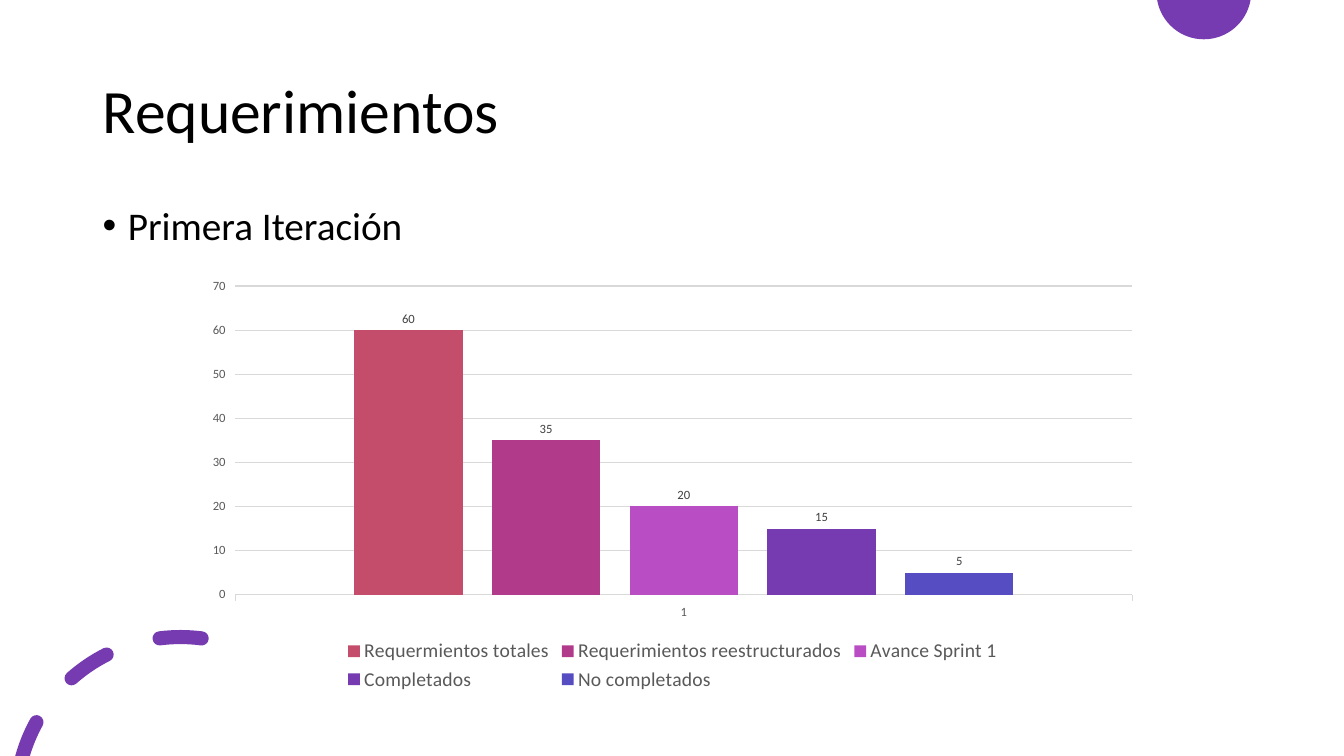
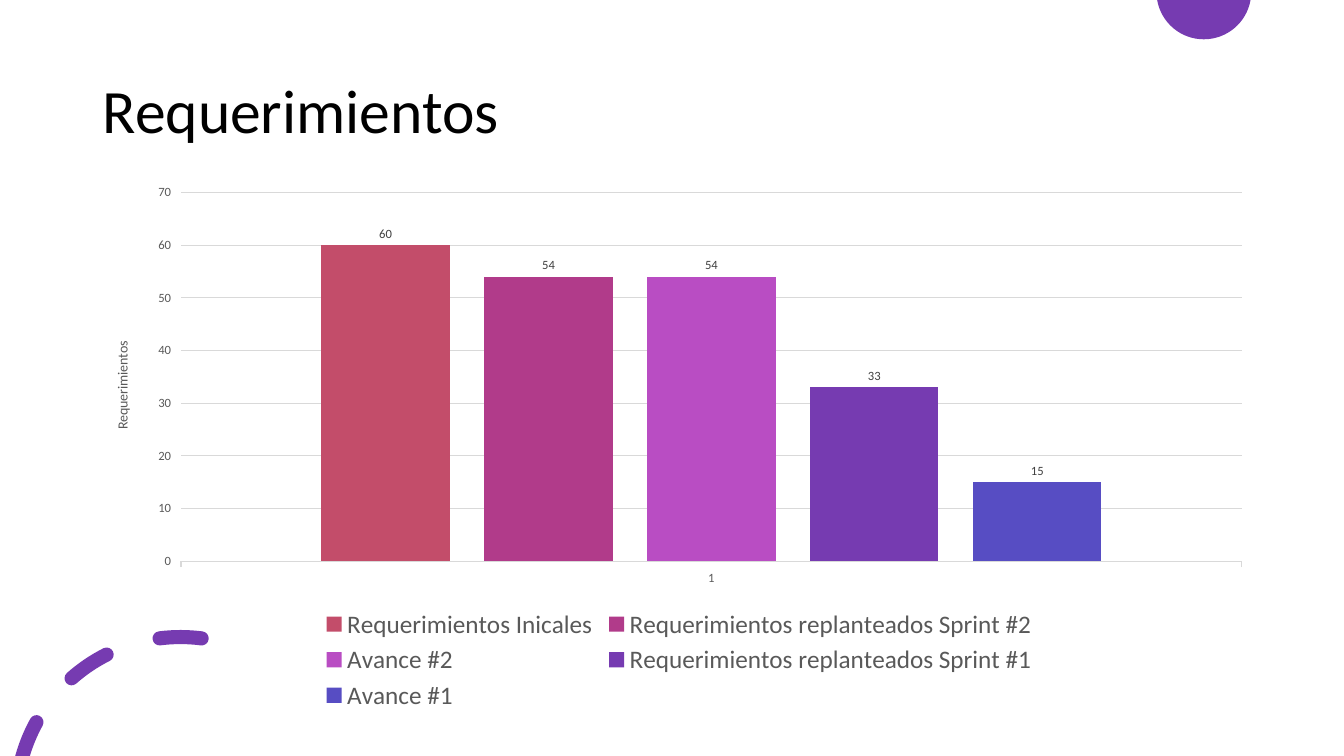
from dataclasses import dataclass
from math import cos, radians, sin, tan

from lxml.etree import SubElement
from pptx import Presentation
from pptx.chart.axis import CategoryAxis, ValueAxis
from pptx.chart.data import CategoryChartData
from pptx.dml.color import RGBColor
from pptx.enum.chart import (
    XL_CHART_TYPE, XL_LABEL_POSITION, XL_LEGEND_POSITION, XL_TICK_MARK)
from pptx.enum.text import MSO_ANCHOR
from pptx.oxml.ns import qn
from pptx.slide import Slide
from pptx.text.text import Font, _Paragraph as Para
from pptx.util import Inches, Pt

FONT = "Calibri"
BLACK = RGBColor(0x00, 0x00, 0x00)
GREY = RGBColor(0x59, 0x59, 0x59)
DARK = RGBColor(0x40, 0x40, 0x40)
PALE = RGBColor(0xD9, 0xD9, 0xD9)
ROSE = RGBColor(0xC3, 0x4D, 0x6A)
PLUM = RGBColor(0xB1, 0x3B, 0x8A)
ORCHID = RGBColor(0xB9, 0x4D, 0xC3)
PURPLE = RGBColor(0x76, 0x3B, 0xB1)
INDIGO = RGBColor(0x57, 0x4D, 0xC3)
BARS = (ROSE, PLUM, ORCHID, PURPLE, INDIGO)

Point = tuple[float, float]

RING: Point = (1.79, 7.95)
RADIUS, HALF = 1.63, 0.07
DISC: Point = (11.94, -0.08)


@dataclass(frozen=True)
class Box:
    left: float
    top: float
    width: float
    height: float

    def lengths(self) -> tuple[Inches, Inches, Inches, Inches]:
        return (Inches(self.left), Inches(self.top),
                Inches(self.width), Inches(self.height))


@dataclass(frozen=True)
class Graph:
    box: Box
    data: dict[str, int]
    key_size: int
    label: str = ""


TITLE = Box(0.92, 0.4, 11.5, 1.45)
BODY = Box(0.92, 2, 11.5, 4.22)

FIRST = Graph(
    Box(1.92, 2.68, 9.5, 4.22),
    {"Requermientos totales": 60, "Requerimientos reestructurados": 35,
     "Avance Sprint 1": 20, "Completados": 15, "No completados": 5},
    14)
SECOND = Graph(
    Box(0.92, 1.73, 11.63, 5.37),
    {"Requerimientos Inicales": 60,
     "Requerimientos replanteados Sprint #2": 54, "Avance #2": 54,
     "Requerimientos replanteados Sprint #1": 33, "Avance #1": 15},
    18, "Requerimientos")


def style(font: Font, size: float, color: RGBColor) -> None:
    font.name, font.size, font.bold = FONT, Pt(size), False
    font.color.rgb = color


def spot(mid: Point, radius: float, angle: float) -> Point:
    """Point on a circle; angles are degrees clockwise from straight up."""
    turn = radians(angle)
    return mid[0] + radius * sin(turn), mid[1] - radius * cos(turn)


def arc(mid: Point, radius: float, start: float, end: float,
        parts: int = 1) -> list[Point]:
    """Start point, then three Bezier points for each part of the arc."""
    step = (end - start) / parts
    pull = radius * 4 / 3 * tan(radians(step) / 4)
    points = [spot(mid, radius, start)]
    for i in range(parts):
        a, b = start + i * step, start + (i + 1) * step
        points += [spot(spot(mid, radius, a), pull, a + 90),
                   spot(spot(mid, radius, b), pull, b - 90),
                   spot(mid, radius, b)]
    return points


def cap(angle: float, turn: float) -> list[Point]:
    """Round end of a dash, without its start point."""
    return arc(spot(RING, RADIUS, angle), HALF, turn, turn + 180, 2)[1:]


def dash(start: float, end: float) -> list[Point]:
    """Outline of a round-ended piece of the ring."""
    inner = arc(RING, RADIUS - HALF, end, start)[1:]
    return (arc(RING, RADIUS + HALF, start, end) + cap(end, end)
            + inner + cap(start, start + 180))


def stub(end: float) -> list[Point]:
    """Outline of the dash that the slide's foot cuts off."""
    return (arc(RING, RADIUS + HALF, -74.6, end) + cap(end, end)
            + arc(RING, RADIUS - HALF, end, -73.2)[1:])


def add_outline(slide: Slide, *loops: list[Point]) -> None:
    paths = [[(Inches(x), Inches(y)) for x, y in loop] for loop in loops]
    pen = slide.shapes.build_freeform(*paths[0][0])
    for i, path in enumerate(paths):
        if i:
            pen.move_to(*path[0])
        pen.add_line_segments(path[1:], close=True)
    shape = pen.convert_to_shape()
    # Each three line steps become one curve.
    lines = list(shape._element.iter(qn("a:lnTo")))
    for trio in zip(*[iter(lines)] * 3):
        curve = trio[0].makeelement(qn("a:cubicBezTo"))
        trio[0].addprevious(curve)
        for line in trio:
            curve.append(line[0])
            line.getparent().remove(line)
    shape.shadow.inherit = False
    shape.fill.solid()
    shape.fill.fore_color.rgb = PURPLE
    shape.line.fill.background()


def add_text(slide: Slide, box: Box, text: str, size: int,
             anchor: MSO_ANCHOR) -> Para:
    frame = slide.shapes.add_textbox(*box.lengths()).text_frame
    frame.word_wrap = True
    frame.vertical_anchor = anchor
    para = frame.paragraphs[0]
    para.text = text
    para.line_spacing = 0.9
    return para if style(para.font, size, BLACK) is None else para


def add_bullet(slide: Slide, text: str) -> None:
    para = add_text(slide, BODY, text, 28, MSO_ANCHOR.TOP)
    para.space_before = Pt(10)
    props = para._p.get_or_add_pPr()
    props.set("marL", str(Inches(0.25)))
    props.set("indent", str(Inches(-0.25)))
    SubElement(props, qn("a:buFont")).set("typeface", "Arial")
    SubElement(props, qn("a:buChar")).set("char", "•")
    # The schema wants the default run properties last.
    props.append(props.find(qn("a:defRPr")))


def set_axis(axis: CategoryAxis | ValueAxis) -> None:
    axis.major_tick_mark = XL_TICK_MARK.OUTSIDE
    axis.minor_tick_mark = XL_TICK_MARK.NONE
    style(axis.tick_labels.font, 9, GREY)


def add_graph(slide: Slide, graph: Graph) -> None:
    data = CategoryChartData()
    data.categories = ["1"]
    for name, value in graph.data.items():
        data.add_series(name, [value])
    chart = slide.shapes.add_chart(
        XL_CHART_TYPE.COLUMN_CLUSTERED, *graph.box.lengths(), data).chart
    style(chart.font, 10, BLACK)
    chart.has_title = False
    chart.has_legend = True
    chart.legend.position = XL_LEGEND_POSITION.BOTTOM
    chart.legend.include_in_layout = False
    style(chart.legend.font, graph.key_size, GREY)

    plot = chart.plots[0]
    plot.gap_width, plot.overlap = 219, -27
    plot.vary_by_categories = False
    for series, color in zip(plot.series, BARS):
        series.format.fill.solid()
        series.format.fill.fore_color.rgb = color
        labels = series.data_labels
        labels.show_value = True
        labels.position = XL_LABEL_POSITION.OUTSIDE_END
        style(labels.font, 9, DARK)

    base, scale = chart.category_axis, chart.value_axis
    set_axis(base)
    set_axis(scale)
    scale.minimum_scale, scale.maximum_scale, scale.major_unit = 0, 70, 10
    scale.format.line.fill.background()
    for line in (base.format.line, scale.major_gridlines.format.line):
        line.color.rgb = PALE
        line.width = Pt(0.75)
    if graph.label:
        frame = scale.axis_title.text_frame
        frame.text = graph.label
        style(frame.paragraphs[0].font, 10, GREY)
        frame._txBody.bodyPr.set("rot", "-5400000")
        frame._txBody.bodyPr.set("vert", "horz")


def add_page(deck: Presentation, title: str) -> Slide:
    """Add a slide with the shared ornaments and title."""
    slide = deck.slides.add_slide(deck.slide_layouts[6])
    add_outline(slide, arc(DISC, 0.47, 100, 260, 2))
    add_outline(slide, stub(-61.2), dash(-41.5, -26.7), dash(-7.3, 7.4))
    add_text(slide, TITLE, title, 44, MSO_ANCHOR.MIDDLE)
    return slide


def main() -> None:
    deck = Presentation()
    deck.slide_width, deck.slide_height = Inches(13.33), Inches(7.5)
    first = add_page(deck, "Requerimientos")
    add_bullet(first, "Primera Iteración")
    add_graph(first, FIRST)
    second = add_page(deck, "Requerimientos")
    add_graph(second, SECOND)
    deck.save("out.pptx")


if __name__ == "__main__":
    main()
